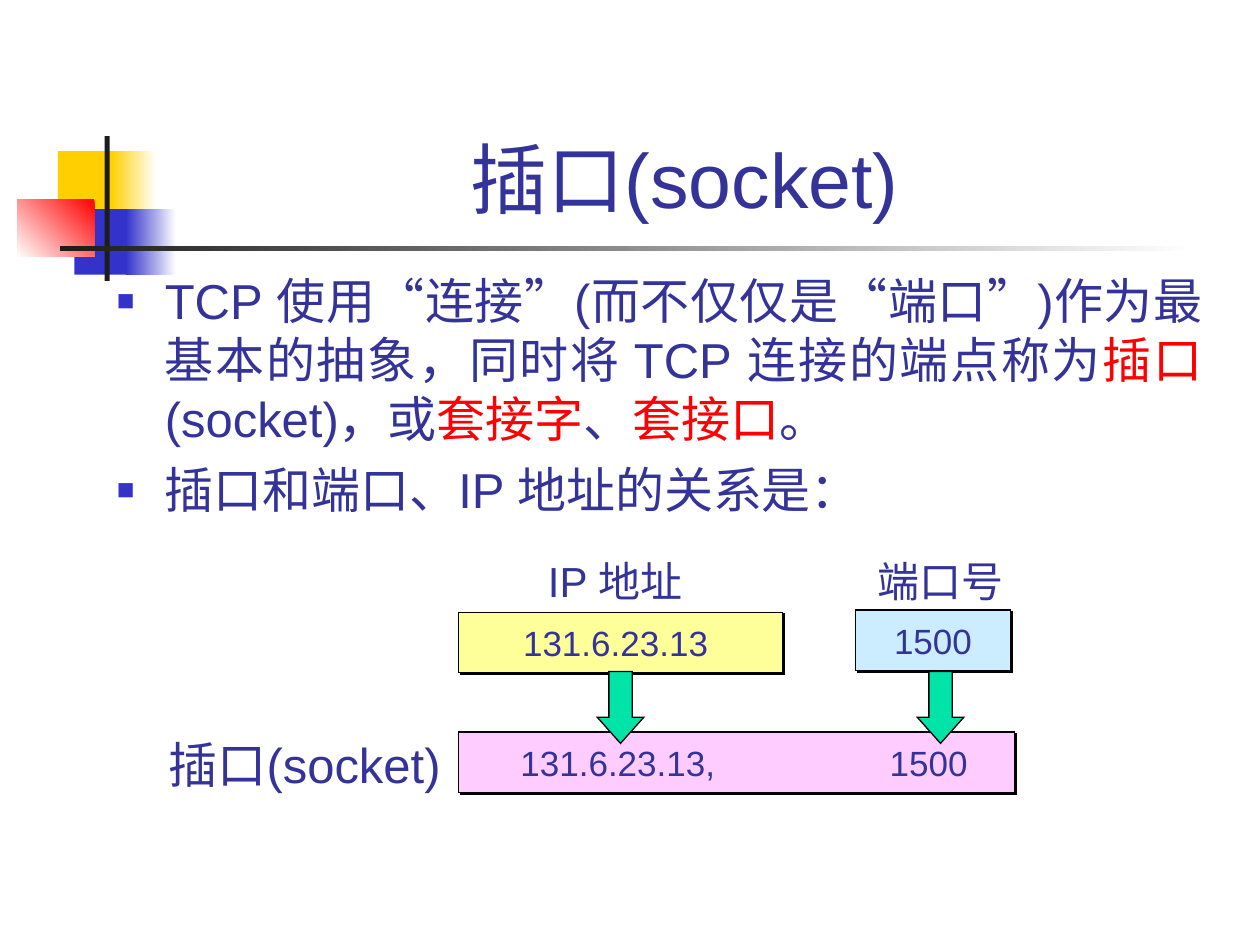
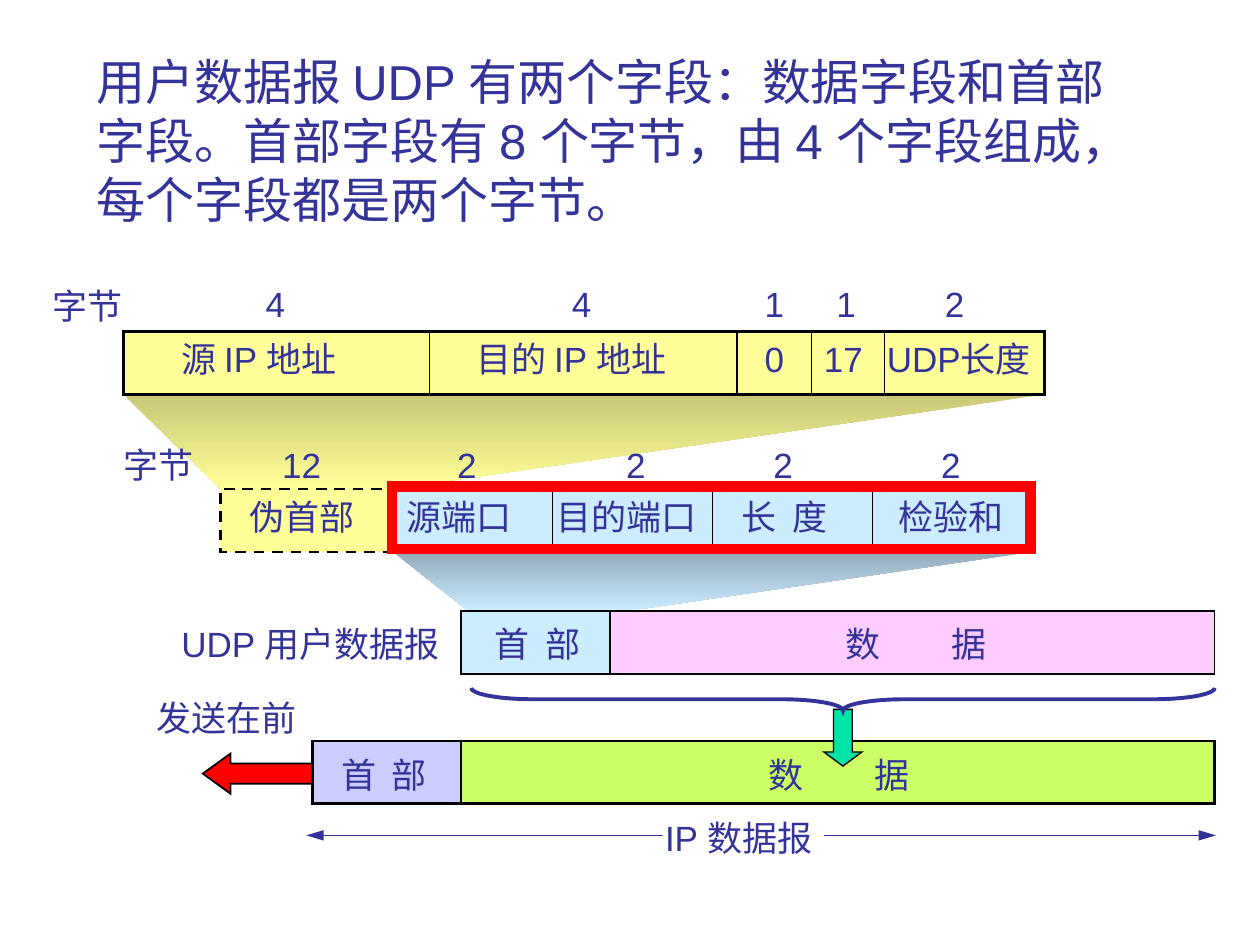
from lxml import etree
from pptx import Presentation
from pptx.dml.color import RGBColor
from pptx.enum.dml import MSO_LINE
from pptx.enum.shapes import MSO_CONNECTOR, MSO_SHAPE
from pptx.enum.text import MSO_ANCHOR, PP_ALIGN
from pptx.oxml.ns import qn
from pptx.util import Inches, Pt

RECT, DOWN, LEFT, BRACE = (MSO_SHAPE.RECTANGLE, MSO_SHAPE.DOWN_ARROW,
                           MSO_SHAPE.LEFT_ARROW, MSO_SHAPE.RIGHT_BRACE)
STRAIGHT, DASH = MSO_CONNECTOR.STRAIGHT, MSO_LINE.DASH
TOP, MIDDLE, BOTTOM = MSO_ANCHOR.TOP, MSO_ANCHOR.MIDDLE, MSO_ANCHOR.BOTTOM
START, CENTER, JUSTIFY = PP_ALIGN.LEFT, PP_ALIGN.CENTER, PP_ALIGN.JUSTIFY

FONT = "Arial"
INK = RGBColor(0x33, 0x33, 0x99)
BLACK = RGBColor(0, 0, 0)
WHITE = RGBColor(0xFF, 0xFF, 0xFF)
RED = RGBColor(0xFF, 0, 0)
GOLD = RGBColor(0xFF, 0xCF, 0x01)
BLUE = RGBColor(0x33, 0x33, 0xCC)
CHARCOAL = RGBColor(0x1C, 0x1C, 0x1C)
YELLOW = RGBColor(0xFF, 0xFF, 0x99)
OLIVE = RGBColor(0xC8, 0xC8, 0x78)
SKY = RGBColor(0xCC, 0xEC, 0xFF)
SLATE = RGBColor(0x93, 0xAA, 0xB8)
PINK = RGBColor(0xFF, 0xCC, 0xFF)
LILAC = RGBColor(0xCC, 0xCC, 0xFF)
LIME = RGBColor(0xCC, 0xFF, 0x66)
GREEN = RGBColor(0, 0xE4, 0xA8)

DECORATION = [
    ((0.46, 1.2, 0.48, 0.52), GOLD),
    ((0.88, 1.2, 0.36, 0.52), (WHITE, GOLD, 180)),
    ((0.59, 1.66, 0.46, 0.52), BLUE),
    ((1, 1.66, 0.4, 0.52), (WHITE, BLUE, 180)),
    ((0.14, 1.58, 0.61, 0.46), (RED, WHITE, 225)),
    ((0.83, 1.08, 0.04, 1.15), CHARCOAL),
    ((0.48, 1.95, 9, 0.04), (WHITE, CHARCOAL, 180)),
]

SOCKET_TITLE = "插口(socket) "
SOCKET_POINTS = [
    [("TCP 使用“连接”(而不仅仅是“端口”)作为最基本的抽象，同时将 TCP 连接的端点称为", INK),
     ("插口", RED), ("(socket)，或", INK), ("套接字", RED), ("、", INK),
     ("套接口", RED), ("。", INK)],
    [("插口和端口、IP 地址的关系是： ", INK)],
]
SOCKET_LABELS = [
    ((4.25, 4.36, 1.35, 0.5), "IP 地址", 24),
    ((6.87, 4.36, 1.36, 0.5), "端口号", 24),
    ((1.24, 5.78, 2.45, 0.57), "插口(socket)", 28),
]
SOCKET_CELLS = [
    ((3.64, 4.86, 2.57, 0.48), YELLOW, "131.6.23.13 "),
    ((6.79, 4.84, 1.23, 0.48), SKY, "1500"),
]
SOCKET_PAIR = ((3.64, 5.81, 4.41, 0.48), PINK, "131.6.23.13,\t1500")
SOCKET_ARROWS = [4.74, 7.28]

UDP_INTRO = ("用户数据报 UDP 有两个字段：数据字段和首部字段。首部字段有 8 个字节，"
             "由 4 个字段组成，每个字段都是两个字节。 ")
ROW = 0.5
PSEUDO_TOP, HEADER_TOP, UDP_TOP, IP_TOP = 2.63, 3.88, 4.85, 5.88
PSEUDO_LEFT, PSEUDO_WIDTH = 0.98, 7.31
HEADER_LEFT, HEADER_WIDTH, HEADER_FIELDS = 3.12, 5.07, 4
HEADER_RIGHT = HEADER_LEFT + HEADER_WIDTH
STUB_LEFT = 1.75
IP_LEFT, UDP_LEFT, DATA_LEFT, RIGHT = 2.48, 3.66, 4.84, 9.64
PSEUDO_DIVIDERS = [3.41, 5.85, 6.44, 7.02]
NARROW_TAB, WIDE_TAB = 0.4, 0.84

UDP_LABELS = {
    2.19: [(2.01, 0.35, "4"), (4.44, 0.35, "4"), (5.97, 0.35, "1"),
           (6.54, 0.35, "1"), (7.4, 0.35, "2")],
    2.21: [(0.32, 0.75, "字节")],
    2.63: [(1.34, 1.57, "源 IP 地址"), (3.68, 1.85, "目的 IP 地址"),
           (5.97, 0.35, "0"), (6.44, 0.51, "17"), (6.94, 1.41, "UDP长度")],
    3.47: [(0.88, 0.75, "字节"), (2.14, 0.51, "12"), (3.53, 0.35, "2"),
           (4.87, 0.35, "2"), (6.04, 0.35, "2"), (7.37, 0.35, "2")],
    3.88: [(1.88, 1.03, "伪首部"), (3.13, 1.03, "源端口"),
           (4.32, 1.31, "目的端口"), (5.79, 0.88, "长\t度"),
           (7.03, 1.03, "检验和")],
    4.89: [(1.34, 2.32, "UDP 用户数据报"), (3.83, 0.88, "首\t部"),
           (6.61, 1.32, "数\t据")],
    5.48: [(1.14, 1.31, "发送在前")],
    5.93: [(2.61, 0.88, "首\t部"), (6, 1.32, "数\t据")],
    6.43: [(5.18, 1.44, "IP 数据报")],
}


def inches(values):
    return [Inches(value) for value in values]


def add_xml(parent, tag, **attributes):
    return etree.SubElement(parent, qn(tag), attributes)


def paint(shape, fill=None, line=None, width=0.74):
    shape.shadow.inherit = False
    if fill is None:
        shape.fill.background()
    elif isinstance(fill, RGBColor):
        shape.fill.solid()
        shape.fill.fore_color.rgb = fill
    else:
        shape.fill.gradient()
        shape.fill.gradient_angle = fill[2]
        for stop, color in zip(shape.fill.gradient_stops, fill):
            stop.color.rgb = color
    if line is None:
        shape.line.fill.background()
    else:
        shape.line.color.rgb = line
        shape.line.width = Pt(width)
        add_xml(shape.line._get_or_add_ln(), "a:miter", lim="800000")
    return shape


def add_figure(page, kind, at, fill=None, line=None, width=0.74, adjust=()):
    shape = page.shapes.add_shape(kind, *inches(at))
    for index, value in enumerate(adjust):
        shape.adjustments[index] = value
    return paint(shape, fill, line, width)


def add_outline(page, points, fill, close=True, line=None, width=0.74):
    corners = [tuple(inches(point)) for point in points]
    builder = page.shapes.build_freeform(*corners[0], scale=1.0)
    builder.add_line_segments(corners[1:], close=close)
    return paint(builder.convert_to_shape(), fill, line, width)


def add_line(page, start, end, color=BLACK, arrows=False):
    line = page.shapes.add_connector(STRAIGHT, *inches(start + end))
    line.line.color.rgb = color
    line.line.width = Pt(0.74)
    if arrows:
        outline = line.line._get_or_add_ln()
        for tag in ("a:headEnd", "a:tailEnd"):
            add_xml(outline, tag, type="triangle", w="med", len="lg")
    add_xml(line._element.spPr, "a:effectLst")


def write(shape, paragraphs, size, align=START, anchor=TOP, wrap=False):
    frame = shape.text_frame
    frame.word_wrap = wrap
    frame.vertical_anchor = anchor
    for index, spans in enumerate(paragraphs):
        para = frame.add_paragraph() if index else frame.paragraphs[0]
        para.alignment = align
        para._p.get_or_add_pPr().set("hangingPunct", "0")
        for text, color in spans:
            span = para.add_run()
            span.text = text
            span.font.name = FONT
            span.font.size = Pt(size)
            span.font.color.rgb = color
    return frame


def add_text(page, at, paragraphs, size, **options):
    box = page.shapes.add_textbox(*inches(at))
    return write(box, paragraphs, size, **options)


def add_label(page, at, text, size):
    frame = add_text(page, at, [[(text, INK)]], size)
    frame.margin_right = 0
    return frame


def set_tab(para, position):
    tabs = add_xml(para._p.get_or_add_pPr(), "a:tabLst")
    add_xml(tabs, "a:tab", pos=str(Inches(position)), algn="l")


def set_bullet(para):
    para.space_before = Pt(7)
    properties = para._p.get_or_add_pPr()
    properties.set("marL", str(Inches(0.38)))
    properties.set("indent", str(-Inches(0.38)))
    add_xml(add_xml(properties, "a:buClr"), "a:srgbClr", val=str(BLUE))
    add_xml(properties, "a:buSzPct", val="60000")
    add_xml(properties, "a:buFont", typeface=FONT)
    add_xml(properties, "a:buChar", char="■")


def add_shadowed_cell(page, at, fill):
    cell = add_figure(page, RECT, at, fill, BLACK)
    effects = cell._element.spPr.find(qn("a:effectLst"))
    shadow = add_xml(effects, "a:outerShdw", dist=str(Pt(1.4)), dir="2700000",
                     algn="ctr", rotWithShape="0")
    add_xml(shadow, "a:srgbClr", val=str(BLACK))
    return cell


def build_socket_page(page):
    for at, fill in DECORATION:
        add_figure(page, RECT, at, fill)
    add_text(page, (1.26, 0.23, 8.52, 1.6), [[(SOCKET_TITLE, INK)]], 44,
             align=CENTER, anchor=BOTTOM, wrap=True)
    body = add_text(page, (0.83, 2.1, 8.81, 5.2), SOCKET_POINTS, 28,
                    align=JUSTIFY, wrap=True)
    for para in body.paragraphs:
        set_bullet(para)
    for at, fill, text in SOCKET_CELLS:
        write(add_shadowed_cell(page, at, fill), [[(text, INK)]], 20,
              align=CENTER, anchor=MIDDLE)
    at, fill, text = SOCKET_PAIR
    frame = write(add_shadowed_cell(page, at, fill), [[(text, INK)]], 20,
                  anchor=MIDDLE, wrap=True)
    frame.margin_left = Inches(0.49)
    set_tab(frame.paragraphs[0], 2.93)
    for at, text, size in SOCKET_LABELS:
        add_label(page, at, text, size)
    for left in SOCKET_ARROWS:
        add_figure(page, DOWN, (left, 5.33, 0.37, 0.57), GREEN, BLACK,
                   adjust=(0.5, 0.56))


def build_udp_page(page):
    pseudo_end, header_end = PSEUDO_TOP + ROW, HEADER_TOP + ROW
    add_outline(page, [(HEADER_LEFT, header_end), (HEADER_RIGHT, header_end),
                       (4.97, UDP_TOP), (3.72, UDP_TOP)], (SLATE, SKY, 270))
    add_outline(page, [(PSEUDO_LEFT, pseudo_end),
                       (PSEUDO_LEFT + PSEUDO_WIDTH, pseudo_end),
                       (HEADER_LEFT, HEADER_TOP), (STUB_LEFT, HEADER_TOP)],
                (OLIVE, YELLOW, 270))
    bars = [
        (IP_LEFT, UDP_LEFT, IP_TOP, LILAC, 1.5),
        (UDP_LEFT, RIGHT, IP_TOP, LIME, 1.5),
        (UDP_LEFT, DATA_LEFT, UDP_TOP, SKY, 1),
        (DATA_LEFT, RIGHT, UDP_TOP, PINK, 1),
        (HEADER_LEFT, HEADER_RIGHT, HEADER_TOP, SKY, 1.5),
        (PSEUDO_LEFT, PSEUDO_LEFT + PSEUDO_WIDTH, PSEUDO_TOP, YELLOW, 1.5),
    ]
    for left, right, top, fill, width in bars:
        add_figure(page, RECT, (left, top, right - left, ROW), fill, BLACK, width)
    for x in PSEUDO_DIVIDERS:
        add_line(page, (x, PSEUDO_TOP), (x, pseudo_end))
    for field in range(1, HEADER_FIELDS):
        x = HEADER_LEFT + field * HEADER_WIDTH / HEADER_FIELDS
        add_line(page, (x, HEADER_TOP), (x, header_end))
    stub = add_outline(page, [(HEADER_LEFT, header_end), (STUB_LEFT, header_end),
                              (STUB_LEFT, HEADER_TOP), (HEADER_LEFT, HEADER_TOP)],
                       YELLOW, close=False, line=BLACK, width=1.5)
    stub.line.dash_style = DASH
    add_figure(page, LEFT, (1.61, 5.98, 0.87, 0.32), RED, BLACK, 1, (0.5, 0.69))
    add_figure(page, DOWN, (6.54, 5.63, 0.3, 0.45), GREEN, BLACK,
               adjust=(0.5, 0.37))
    brace = add_figure(page, BRACE, (6.6, 2.6, 0.18, 5.9), None, INK, 2.25,
                       (2.72, 0.5))
    brace.rotation = 90
    add_line(page, (2.43, 6.63), (9.65, 6.63), INK, arrows=True)
    add_figure(page, RECT, (5.26, 6.46, 1.28, 0.32), WHITE)
    for top, labels in UDP_LABELS.items():
        for left, width, text in labels:
            frame = add_label(page, (left, top, width, 0.44), text, 20)
            if "\t" in text:
                set_tab(frame.paragraphs[0], WIDE_TAB if width > 1 else NARROW_TAB)
    add_figure(page, RECT, (HEADER_LEFT - 0.01, HEADER_TOP - 0.02, HEADER_WIDTH, ROW),
               None, RED, 6)
    add_text(page, (0.67, 0.36, 8.53, 1.5), [[(UDP_INTRO, INK)]], 28, wrap=True)


deck = Presentation()
deck.slide_width, deck.slide_height = Inches(10), Inches(7.5)
blank = deck.slide_layouts[6]
for build in (build_socket_page, build_udp_page):
    build(deck.slides.add_slide(blank))
deck.save("out.pptx")
